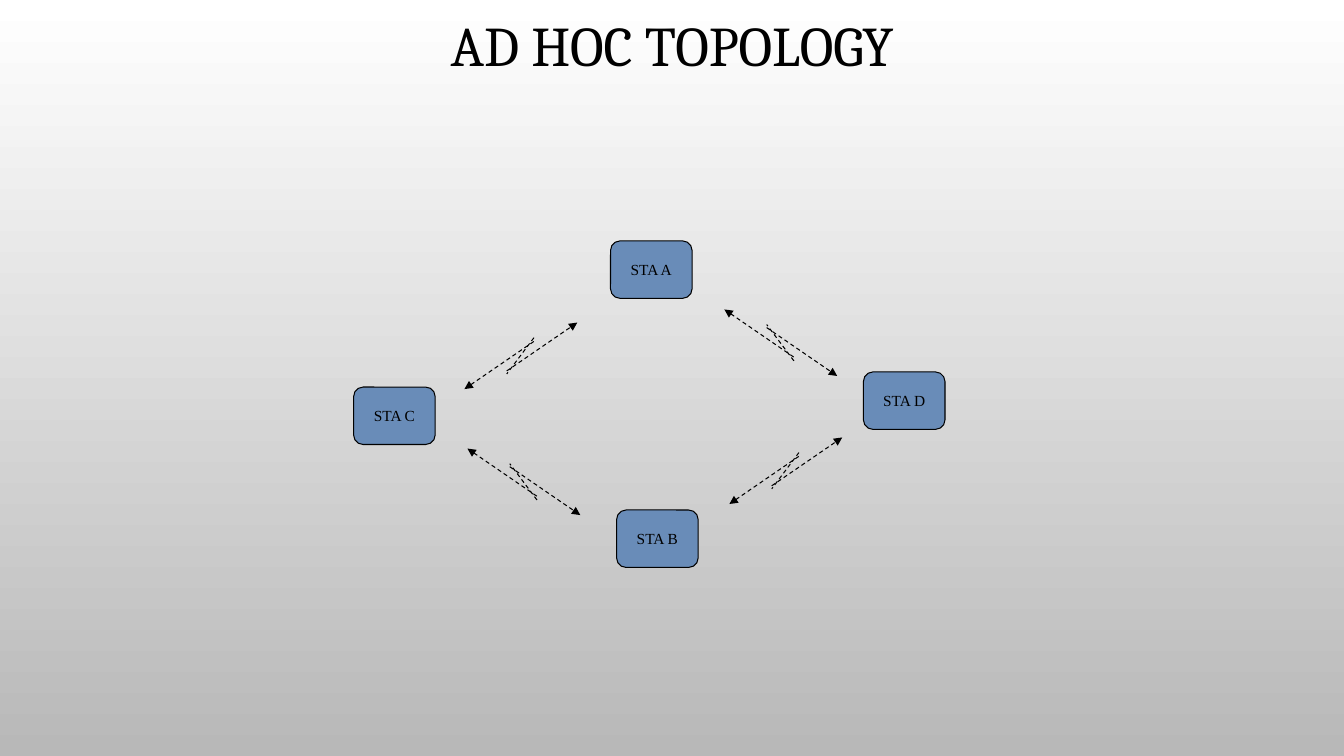
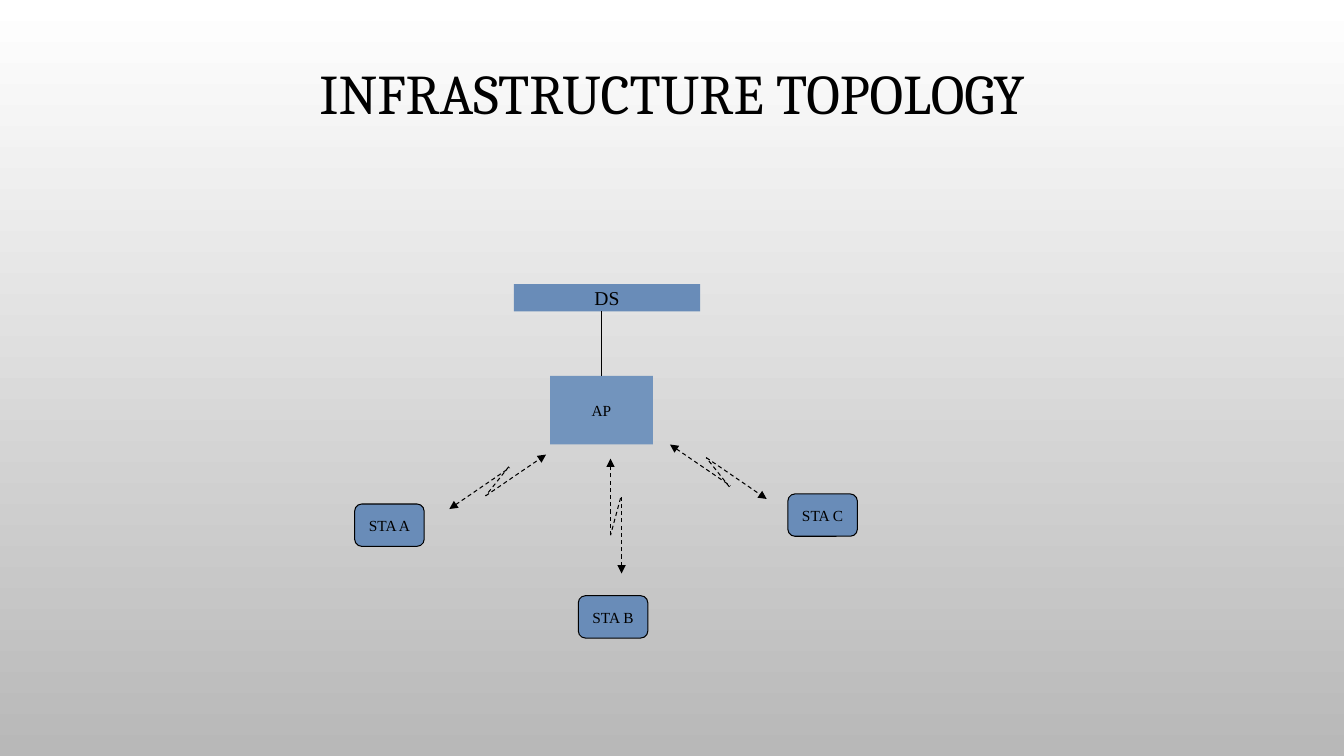
import pptx
import pptx.util
import pptx.dml.color
import pptx.enum.dml
import pptx.enum.shapes
import pptx.enum.text
import pptx.oxml.ns
import pptx.oxml.xmlchemy
from dataclasses import dataclass


@dataclass(frozen=True)
class Theme:
    sky: str = "FFFFFF"
    ground: str = "B8B8B8"
    ink: str = "000000"
    station: str = "698CB8"
    access_point: str = "7294BD"
    title_font: str = "Cambria"
    label_font: str = "Times New Roman"
    title_size: int = 40
    label_size: int = 11
    system_size: int = 14
    line_width: float = 0.75
    title_spacing: float = 0.9
    corner: float = 0.167


THEME = Theme()
SLIDE_COLS, SLIDE_ROWS = 133.4, 75
CELL = pptx.util.Inches(0.1)

# Each radio link: stroke vector, offset of its second stroke, bridge start and end.
LINKS = {
    "wide": ((7, -4.8), (4.2, -1.8), (6.9, -5.1), (4.2, -1.5)),
    "small": ((6, -4.1), (3.6, -1.3), (5.9, -4.2), (3.6, -1.3)),
    "upright": ((0, -7.6), (-1.1, -3.8), (-0.1, -7.5), (-1.1, -3.8)),
}
RISING, FALLING = 1, -1

SLIDES = [
    {
        "title": "AD HOC TOPOLOGY",
        "title_rows": (1.8, 11.8),
        "station_size": (8.1, 5.7),
        "stations": [("STA C", 35.1, 38.4), ("STA B", 61.2, 50.6),
                     ("STA D", 85.7, 36.9), ("STA A", 60.6, 23.9)],
        "links": [("wide", 72.4, 50, RISING), ("wide", 46.1, 38.6, RISING),
                  ("wide", 71.9, 30.7, FALLING), ("wide", 46.4, 44.5, FALLING)],
        "blocks": [],
        "wires": [],
    },
    {
        "title": "INFRASTRUCTURE TOPOLOGY",
        "title_rows": (6.6, 11.3),
        "station_size": (6.9, 4.2),
        "stations": [("STA A", 35.2, 50), ("STA B", 57.4, 59.1),
                     ("STA C", 78.2, 49)],
        "links": [("small", 44.6, 50.5, RISING), ("small", 66.5, 44.1, FALLING),
                  ("upright", 61.7, 56.9, RISING)],
        "blocks": [("DS", 51, 28.2, 18.5, 2.7, THEME.station, THEME.system_size),
                   ("AP", 54.6, 37.3, 10.2, 6.8, THEME.access_point, THEME.label_size)],
        "wires": [((59.7, 30.9), (59.7, 37.3))],
    },
]


def cells(*lengths):
    return [round(length * CELL) for length in lengths]


def color(code):
    return pptx.dml.color.RGBColor.from_string(code)


def write(frame, text, font, size, anchor):
    frame.word_wrap = True
    frame.auto_size = pptx.enum.text.MSO_AUTO_SIZE.NONE
    frame.vertical_anchor = anchor
    frame.margin_left = frame.margin_right = frame.margin_top = frame.margin_bottom = 0
    paragraph = frame.paragraphs[0]
    paragraph.alignment = pptx.enum.text.PP_ALIGN.CENTER
    run = paragraph.add_run()
    run.text = text
    run.font.name = font
    run.font.size = pptx.util.Pt(size)
    run.font.color.rgb = color(THEME.ink)
    return paragraph


def ink_line(line):
    line.color.rgb = color(THEME.ink)
    line.width = pptx.util.Pt(THEME.line_width)


def add_title(slide, text, top, height):
    title = slide.shapes.title
    margin = 10
    title.left, title.top, title.width, title.height = cells(
        margin, top, SLIDE_COLS - 2 * margin, height)
    paragraph = write(title.text_frame, text, THEME.title_font, THEME.title_size,
                      pptx.enum.text.MSO_ANCHOR.TOP)
    paragraph.line_spacing = THEME.title_spacing


def add_box(slide, text, col, row, width, height, fill=THEME.station,
            size=THEME.label_size, rounded=False):
    presets = pptx.enum.shapes.MSO_SHAPE
    preset = presets.ROUNDED_RECTANGLE if rounded else presets.RECTANGLE
    box = slide.shapes.add_shape(preset, *cells(col, row, width, height))
    box.shadow.inherit = False
    box.fill.solid()
    box.fill.fore_color.rgb = color(fill)
    if rounded:
        box.adjustments[0] = THEME.corner
        ink_line(box.line)
    else:
        box.line.fill.background()
    write(box.text_frame, text, THEME.label_font, size,
          pptx.enum.text.MSO_ANCHOR.MIDDLE)


def add_line(slide, start, end, dashed=False, arrow=None):
    wire = slide.shapes.add_connector(
        pptx.enum.shapes.MSO_CONNECTOR.STRAIGHT, *cells(*start, *end))
    ink_line(wire.line)
    if dashed:
        wire.line.dash_style = pptx.enum.dml.MSO_LINE.DASH
    properties = wire.element.spPr
    if arrow:
        tip = pptx.oxml.xmlchemy.OxmlElement(arrow)
        tip.set("type", "triangle")
        properties.find(pptx.oxml.ns.qn("a:ln")).append(tip)
    properties.append(pptx.oxml.xmlchemy.OxmlElement("a:effectLst"))


def add_link(slide, kind, col, row, direction):
    def at(dx, dy):
        return col + dx, row + direction * dy

    stroke, offset, bridge_start, bridge_end = LINKS[kind]
    far_end = (stroke[0] + offset[0], stroke[1] + offset[1])
    add_line(slide, at(0, 0), at(*stroke), True, "a:headEnd")
    add_line(slide, at(*offset), at(*far_end), True, "a:tailEnd")
    add_line(slide, at(*bridge_start), at(*bridge_end), True)


def shade_background(master):
    fill = master.background.fill
    fill.gradient()
    fill.gradient_angle = 270
    for stop, code in zip(fill.gradient_stops, (THEME.sky, THEME.ground)):
        stop.color.rgb = color(code)


def add_topology(deck, content):
    slide = deck.slides.add_slide(deck.slide_layouts.get_by_name("Title Only"))
    add_title(slide, content["title"], *content["title_rows"])
    for name, col, row in content["stations"]:
        add_box(slide, name, col, row, *content["station_size"], rounded=True)
    for link in content["links"]:
        add_link(slide, *link)
    for block in content["blocks"]:
        add_box(slide, *block)
    for start, end in content["wires"]:
        add_line(slide, start, end)


def main():
    deck = pptx.Presentation()
    deck.slide_width, deck.slide_height = cells(SLIDE_COLS, SLIDE_ROWS)
    shade_background(deck.slide_master)
    for content in SLIDES:
        add_topology(deck, content)
    deck.save("out.pptx")


if __name__ == "__main__":
    main()
